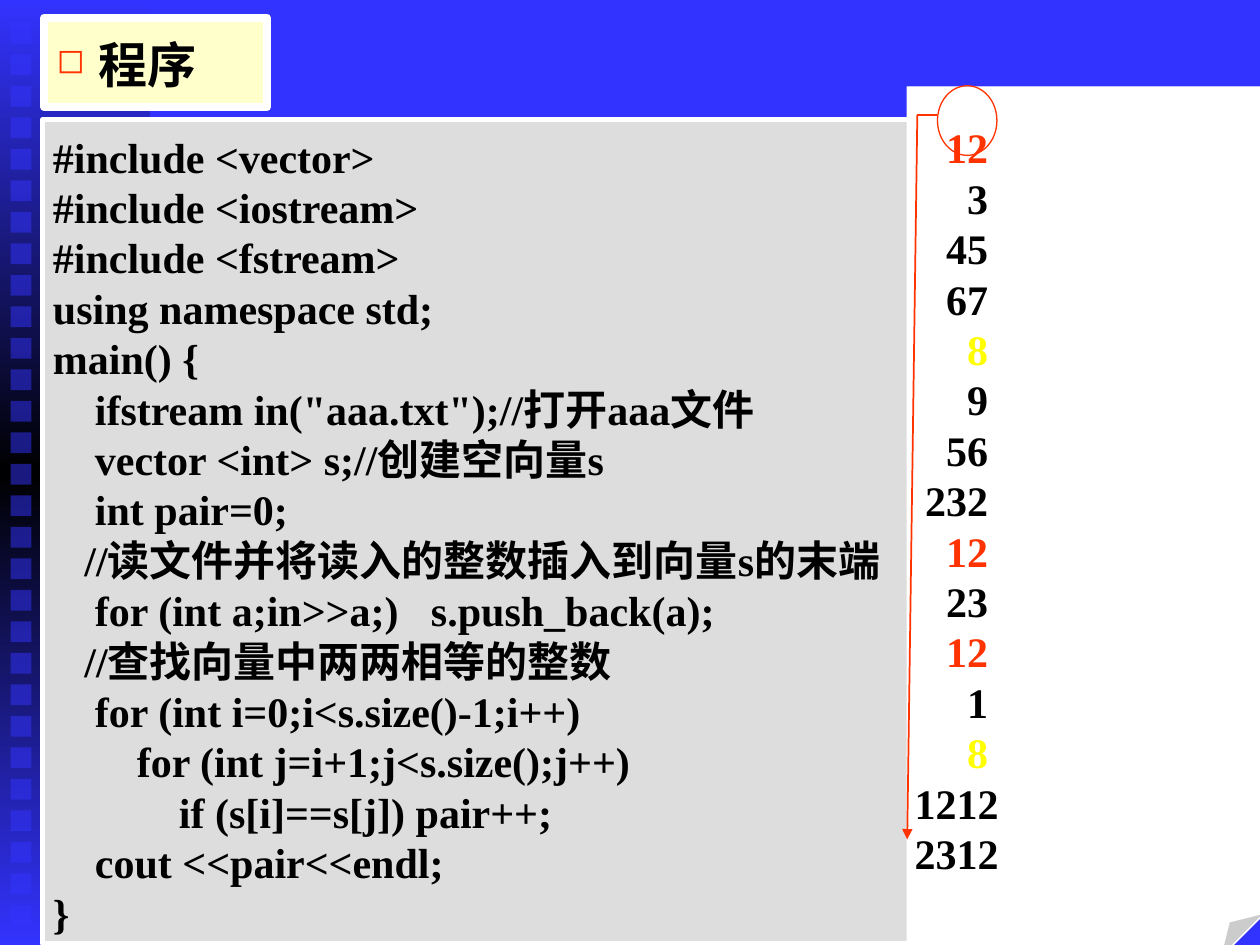
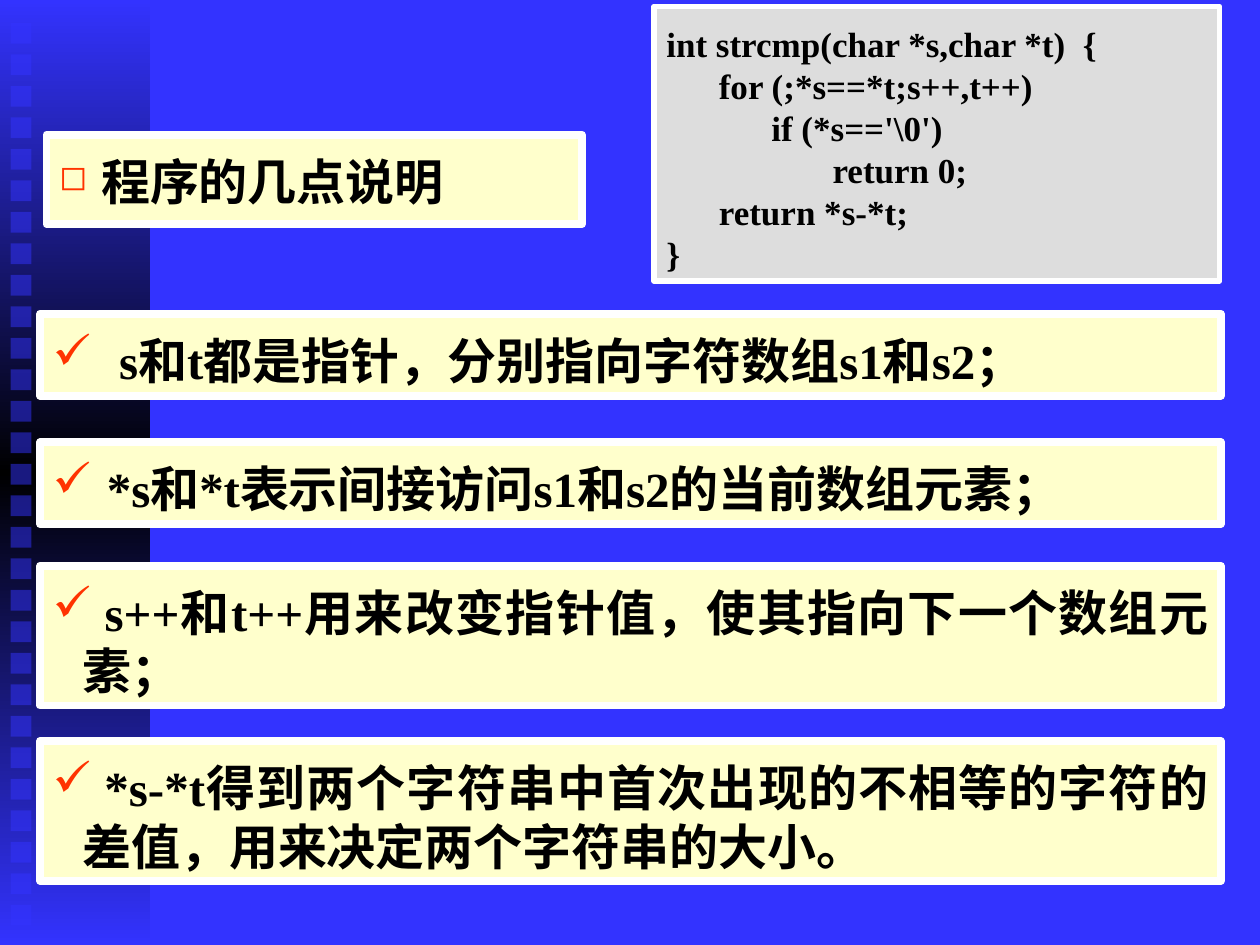
import copy

import lxml.etree
import pptx
import pptx.dml.color
import pptx.enum.dml
import pptx.enum.shapes
import pptx.enum.text
import pptx.oxml.ns
import pptx.util

Pt = pptx.util.Pt
qn = pptx.oxml.ns.qn
SHAPE = pptx.enum.shapes.MSO_SHAPE
ALIGN = pptx.enum.text.PP_ALIGN
ANCHOR = pptx.enum.text.MSO_ANCHOR

COLORS = {
    "blue": "3333FF",
    "black": "000000",
    "white": "FFFFFF",
    "cream": "FFFFCC",
    "grey": "DDDDDD",
    "red": "FF3300",
    "yellow": "FFFF00",
}
FONT = "Times New Roman"
LINE_FACTOR = 1.2
WIDE_INSETS = (7.2, 9.4, 7.2, 3.6)
CODE_INSETS = (5.8, 6.5, 5.8, 3.6)
FOLD_INSETS = (4.3, 3.6, 4.3, 3.6)

FILE_CODE = """#include <vector>
#include <iostream>
#include <fstream>
using namespace std;
main() {
    ifstream in("aaa.txt");//打开aaa文件
    vector <int> s;//创建空向量s
    int pair=0;
   //读文件并将读入的整数插入到向量s的末端
    for (int a;in>>a;) \ts.push_back(a);
   //查找向量中两两相等的整数
    for (int i=0;i<s.size()-1;i++)
        for (int j=i+1;j<s.size();j++)
\tif (s[i]==s[j]) pair++;
    cout <<pair<<endl;
}"""

STRCMP_CODE = r"""int strcmp(char *s,char *t)  {
      for (;*s==*t;s++,t++)
            if (*s=='\0')
                   return 0;
      return *s-*t;
}"""

NUMBERS = [12, 3, 45, 67, 8, 9, 56, 232, 12, 23, 12, 1, 8, 1212, 2312]
NUMBER_COLORS = {12: "red", 8: "yellow"}

# top, height, hanging indent, text
NOTES = [
    (179.3, 46.8, 38, "s和t都是指针，分别指向字符数组s1和s2；"),
    (252.7, 46.8, 31, "*s和*t表示间接访问s1和s2的当前数组元素；"),
    (323.3, 79.9, 17, " s++和t++用来改变指针值，使其指向下一个数组元素；"),
    (423.4, 79.9, 17, " *s-*t得到两个字符串中首次出现的不相等的字符的差值，用来决定两个字符串的大小。"),
]


def rgb(name):
    return pptx.dml.color.RGBColor.from_string(COLORS[name])


def add_xml(parent, tag, **attrs):
    return lxml.etree.SubElement(parent, qn(tag), attrs)


def place(sp, box):
    sp.left, sp.top, sp.width, sp.height = (Pt(v) for v in box)


def paint(sp, fill, line, width):
    sp.fill.solid()
    sp.fill.fore_color.rgb = rgb(fill)
    sp.line.color.rgb = rgb(line)
    sp.line.width = Pt(width)


def add_box(shapes, kind, box):
    sp = shapes.add_shape(kind, *(Pt(v) for v in box))
    sp.shadow.inherit = False
    return sp


def set_frame(sp, insets, anchor=ANCHOR.TOP):
    tf = sp.text_frame
    tf.word_wrap = True
    tf.auto_size = pptx.enum.text.MSO_AUTO_SIZE.NONE
    tf.vertical_anchor = anchor
    tf.margin_left, tf.margin_top, tf.margin_right, tf.margin_bottom = (
        Pt(v) for v in insets)
    return tf


def style_paragraph(p, size, color="black", align=ALIGN.LEFT):
    p.alignment = align
    p.line_spacing = Pt(size * LINE_FACTOR)
    for r in p.runs:
        r.font.name = FONT
        r.font.size = Pt(size)
        r.font.bold = True
        r.font.color.rgb = rgb(color)


def add_bullet(p, char, hang, percent):
    pPr = p._p.get_or_add_pPr()
    pPr.set("marL", str(Pt(hang)))
    pPr.set("indent", str(-Pt(hang)))
    add_xml(add_xml(pPr, "a:buClr"), "a:srgbClr", val=COLORS["red"])
    add_xml(pPr, "a:buSzPct", val=str(percent * 1000))
    add_xml(pPr, "a:buChar", char=char)


def add_tab_stops(p):
    """One left tab stop every 72 points."""
    tabs = add_xml(p._p.get_or_add_pPr(), "a:tabLst")
    for i in range(1, 5):
        add_xml(tabs, "a:tab", pos=str(Pt(72 * i)), algn="l")


def decorate_master(master, slide):
    """Draw the side band on the slide, then move it into the master."""
    master.background.fill.solid()
    master.background.fill.fore_color.rgb = rgb("blue")
    group = slide.shapes.add_group_shape()

    band = add_box(group.shapes, SHAPE.RECTANGLE, (0, 0, 85.7, 540))
    band.line.fill.background()
    band.fill.gradient()
    band.fill.gradient_angle = 90
    for stop, color in zip(band.fill.gradient_stops, ("blue", "black")):
        stop.color.rgb = rgb(color)
    first, middle = band.element.iter(qn("a:gs"))
    last = copy.deepcopy(first)
    middle.addnext(last)
    for gs, position in zip((first, middle, last), (0, 50000, 100000)):
        gs.set("pos", str(position))

    for i in range(29):
        square = add_box(group.shapes, SHAPE.RECTANGLE, (6, 13 + 18 * i, 12, 12))
        square.line.fill.background()
        square.fill.solid()
        square.fill.fore_color.rgb = rgb("blue")
        color = next(square.element.spPr.iter(qn("a:srgbClr")))
        add_xml(color, "a:alpha", val="50000")

    master.shapes.element.insert(2, group.element)


def add_title(slide, box, text):
    sp = slide.shapes.title
    place(sp, box)
    paint(sp, "cream", "white", 4.5)
    tf = set_frame(sp, WIDE_INSETS)
    tf.text = text
    p = tf.paragraphs[0]
    style_paragraph(p, 28)
    add_bullet(p, "◻", 24, 70)


def add_code(slide, box, code, size, insets):
    sp = add_box(slide.shapes, SHAPE.RECTANGLE, box)
    paint(sp, "grey", "white", 3)
    tf = set_frame(sp, insets)
    tf.text = code
    for p in tf.paragraphs:
        style_paragraph(p, size)
        add_tab_stops(p)


def add_note(slide, box, hang, text):
    sp = add_box(slide.shapes, SHAPE.RECTANGLE, box)
    paint(sp, "cream", "white", 4.5)
    tf = set_frame(sp, WIDE_INSETS)
    tf.text = text
    p = tf.paragraphs[0]
    style_paragraph(p, 28, align=ALIGN.JUSTIFY)
    add_bullet(p, "✓", hang, 100)


def add_red_line(shapes, x1, y1, x2, y2, width):
    line = shapes.add_connector(pptx.enum.shapes.MSO_CONNECTOR.STRAIGHT,
                                Pt(x1), Pt(y1), Pt(x2), Pt(y2))
    line.line.color.rgb = rgb("red")
    line.line.width = Pt(width)
    add_xml(line.element.spPr, "a:effectLst")
    return line


def add_number_sheet(slide, box):
    """Folded sheet of numbers with a scan arrow from the circled first one."""
    x, y = box[:2]
    group = slide.shapes.add_group_shape()
    sheet = add_box(group.shapes, SHAPE.FOLDED_CORNER, box)
    adjustments = next(sheet.element.iter(qn("a:avLst")))
    for guide in list(adjustments):
        adjustments.remove(guide)
    add_xml(adjustments, "a:gd", name="adj", fmla="val 12500")
    paint(sheet, "white", "white", 0.75)
    tf = set_frame(sheet, FOLD_INSETS, ANCHOR.MIDDLE)
    tf.text = "\n".join(str(n) for n in NUMBERS)
    digit, right_edge = 12, 42
    for p, n in zip(tf.paragraphs, NUMBERS):
        style_paragraph(p, 24, NUMBER_COLORS.get(n, "black"))
        indent = max(0, right_edge - digit * len(p.text))
        p._p.get_or_add_pPr().set("marL", str(Pt(indent)))

    arrow = add_red_line(group.shapes, x + 5.8, y + 16, x, y + 430, 1)
    add_xml(arrow.element.spPr.find(qn("a:ln")), "a:tailEnd", type="triangle")
    circle = add_box(group.shapes, SHAPE.OVAL, (x + 17.3, y - 0.7, 34, 39.8))
    circle.fill.background()
    circle.line.color.rgb = rgb("red")
    circle.line.width = Pt(0.75)
    add_red_line(group.shapes, x + 5.8, y + 16, x + 17.3, y + 16, 0.75)


def build_program_slide(slide):
    add_title(slide, (25.2, 10.1, 127.4, 51.1), "程序")
    add_code(slide, (24.5, 68.4, 669.6, 470.9), FILE_CODE, 24, CODE_INSETS)
    add_number_sheet(slide, (518.4, 49.7, 204.5, 497.5))


def build_notes_slide(slide):
    add_title(slide, (26.6, 77, 306, 51.1), "程序的几点说明")
    add_code(slide, (373.7, 3.6, 323.3, 157), STRCMP_CODE, 20, WIDE_INSETS)
    for top, height, hang, text in NOTES:
        add_note(slide, (23, top, 674.6, height), hang, text)


def main():
    prs = pptx.Presentation()
    prs.slide_width, prs.slide_height = Pt(720), Pt(540)
    title_only = prs.slide_layouts[5]
    program = prs.slides.add_slide(title_only)
    decorate_master(prs.slide_master, program)
    build_program_slide(program)
    build_notes_slide(prs.slides.add_slide(title_only))
    prs.save("out.pptx")


if __name__ == "__main__":
    main()
